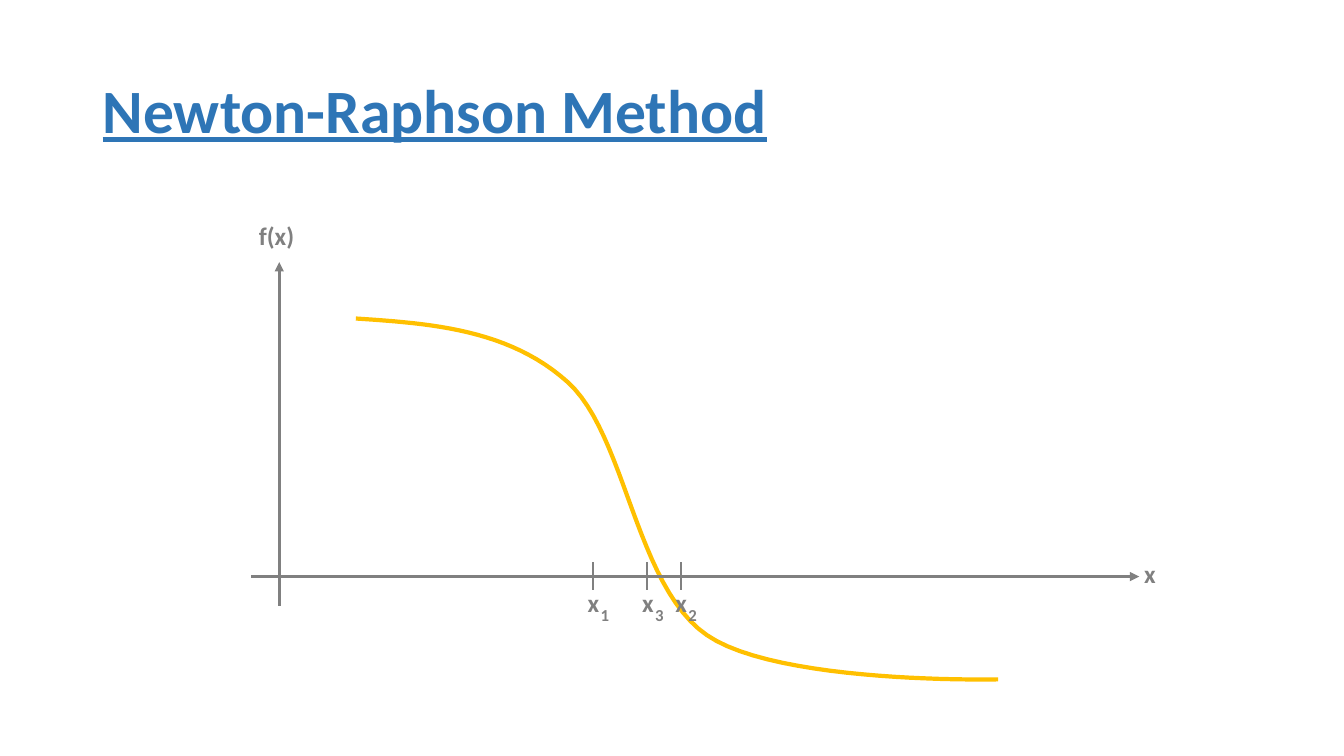
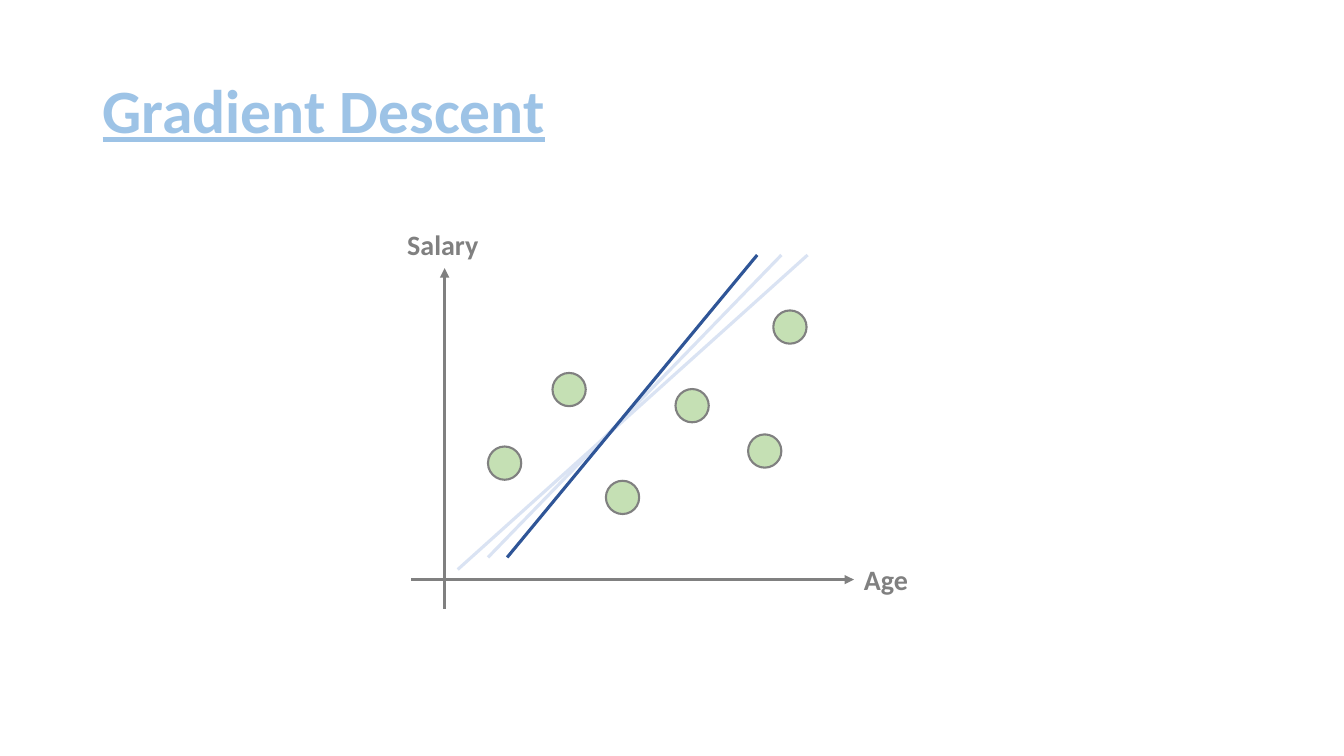
import pptx
import pptx.dml.color
import pptx.enum.dml
import pptx.enum.shapes
import pptx.enum.text
import pptx.oxml.ns
import pptx.util
from lxml import etree

PX = 9144  # 100 px to the inch
GREY, AMBER, GREEN = "808080", "FFC000", "C5E0B4"
PALE_BLUE, DARK_BLUE = "DAE3F3", "2F5597"
rgb = pptx.dml.color.RGBColor.from_string
qn = pptx.oxml.ns.qn


def add_text(slide, text, left, top, width, height, size, colour=GREY):
    box = slide.shapes.add_textbox(left * PX, top * PX, width * PX, height * PX)
    box.text_frame.word_wrap = False
    paragraph = box.text_frame.paragraphs[0]
    paragraph.text = text
    paragraph.font.name = "Calibri"
    paragraph.font.size = pptx.util.Pt(size)
    paragraph.font.bold = True
    paragraph.font.color.rgb = rgb(colour)
    return box.text_frame


def add_line(slide, x1, y1, x2, y2, colour=GREY, weight=2.25, arrow=False):
    line = slide.shapes.add_connector(
        pptx.enum.shapes.MSO_CONNECTOR.STRAIGHT, x1 * PX, y1 * PX, x2 * PX, y2 * PX)
    line.line.color.rgb = rgb(colour)
    line.line.width = pptx.util.Pt(weight)
    if arrow:
        etree.SubElement(line.line._get_or_add_ln(), qn("a:tailEnd"), type="triangle")
    etree.SubElement(line._element.spPr, qn("a:effectLst"))


deck = pptx.Presentation()
deck.slide_width, deck.slide_height = 1333 * PX, 750 * PX

# Slides with their titles
slides = []
for heading, colour in [("Newton-Raphson Method", "2E75B6"), ("Gradient Descent", "9DC3E6")]:
    slide = deck.slides.add_slide(deck.slide_layouts[6])
    title = add_text(slide, heading, 92, 40, 1150, 145, 44, colour)
    title.word_wrap = True
    title.vertical_anchor = pptx.enum.text.MSO_ANCHOR.MIDDLE
    title.paragraphs[0].line_spacing = 0.9
    title.paragraphs[0].font.underline = True
    slides.append(slide)
newton, descent = slides

# Newton-Raphson: the function, traced along three cubic Bezier pieces
bends = [(353, 316), (429, 321), (505, 327), (563, 379), (621, 431),
         (630, 581), (701, 630), (772, 679), (990, 674), (990, 674)]
STEPS = 24
trace = []
for start in range(0, 9, 3):
    for step in range(1, STEPS + 1):
        t = step / STEPS
        weights = ((1 - t) ** 3, 3 * t * (1 - t) ** 2, 3 * t ** 2 * (1 - t), t ** 3)
        piece = bends[start:start + 4]
        trace.append(tuple(round(sum(w * p[axis] for w, p in zip(weights, piece)) * PX)
                           for axis in (0, 1)))
builder = newton.shapes.build_freeform(bends[0][0] * PX, bends[0][1] * PX)
builder.add_line_segments(trace, close=False)
curve = builder.convert_to_shape()
curve.shadow.inherit = False
curve.fill.background()
curve.line.color.rgb = rgb(AMBER)
curve.line.width = pptx.util.Pt(3)

# Newton-Raphson: axes
add_line(newton, 277, 601, 277, 260, arrow=True)
add_line(newton, 249, 572, 1130, 572, arrow=True)
add_text(newton, "x", 1125, 549, 32, 40, 18)
add_text(newton, "f(x)", 247, 214, 56, 40, 18)

# Newton-Raphson: iterates marked on the x axis
for index, x in [("1", 588), ("2", 675), ("3", 642)]:
    add_line(newton, x, 558, x, 585, weight=1.5)
    add_text(newton, "x", x - 15, 578, 32, 40, 18)
    add_text(newton, index, x - 2, 595, 30, 30, 12)

# Gradient descent: axes
add_line(descent, 441, 604, 441, 266, arrow=True)
add_line(descent, 408, 575, 847, 575, arrow=True)
add_text(descent, "Age", 847, 553, 64, 44, 20)
add_text(descent, "Salary", 394, 221, 91, 44, 20)

# Gradient descent: data points
DIAMETER = 33
for left, top in [(484, 443), (548, 370), (601, 477), (670, 386), (742, 431), (767, 308)]:
    point = descent.shapes.add_shape(pptx.enum.shapes.MSO_SHAPE.OVAL,
                                     left * PX, top * PX, DIAMETER * PX, DIAMETER * PX)
    point.shadow.inherit = False
    point.fill.solid()
    point.fill.fore_color.rgb = rgb(GREEN)
    point.line.color.rgb = rgb(GREY)
    point.line.width = pptx.util.Pt(1.5)

# Gradient descent: successive fits, the last one dark
for x1, y1, x2, colour in [(454, 565, 801, PALE_BLUE), (484, 553, 775, PALE_BLUE),
                           (503, 553, 751, DARK_BLUE)]:
    add_line(descent, x1, y1, x2, 253, colour)

deck.save("out.pptx")
